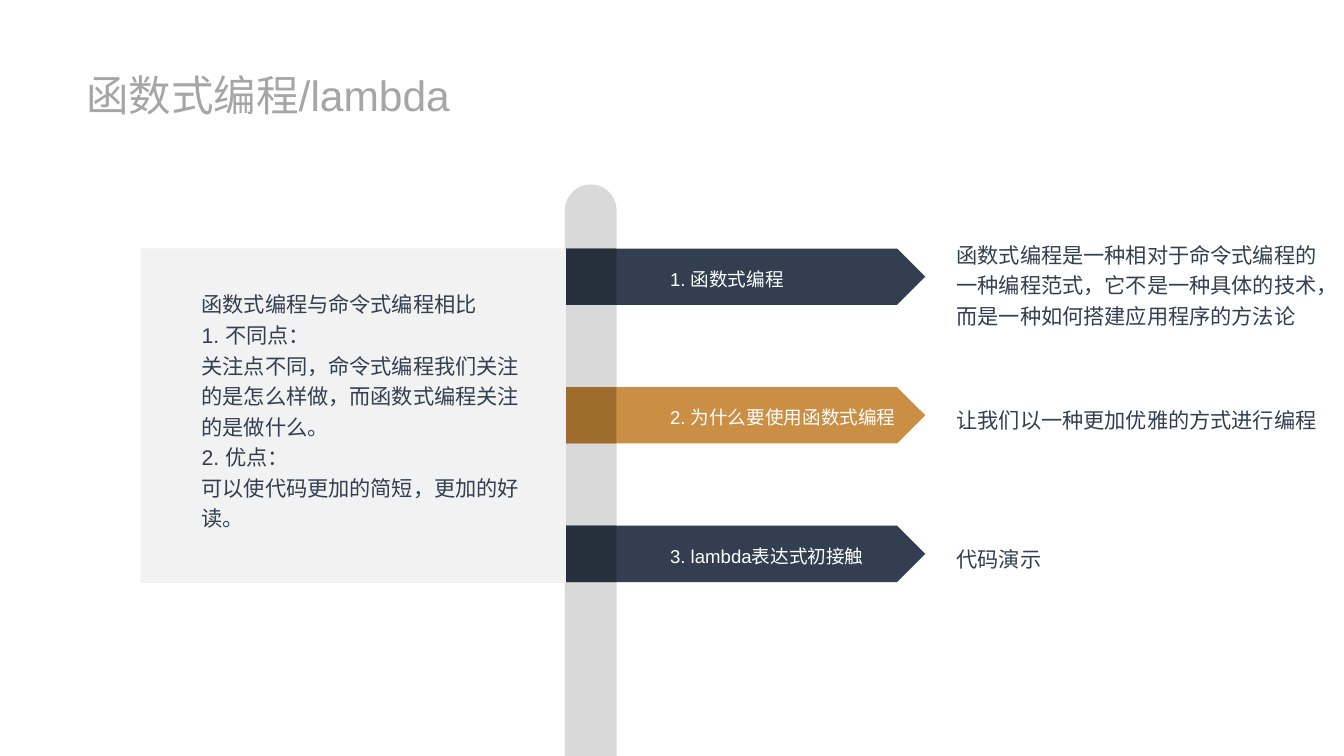
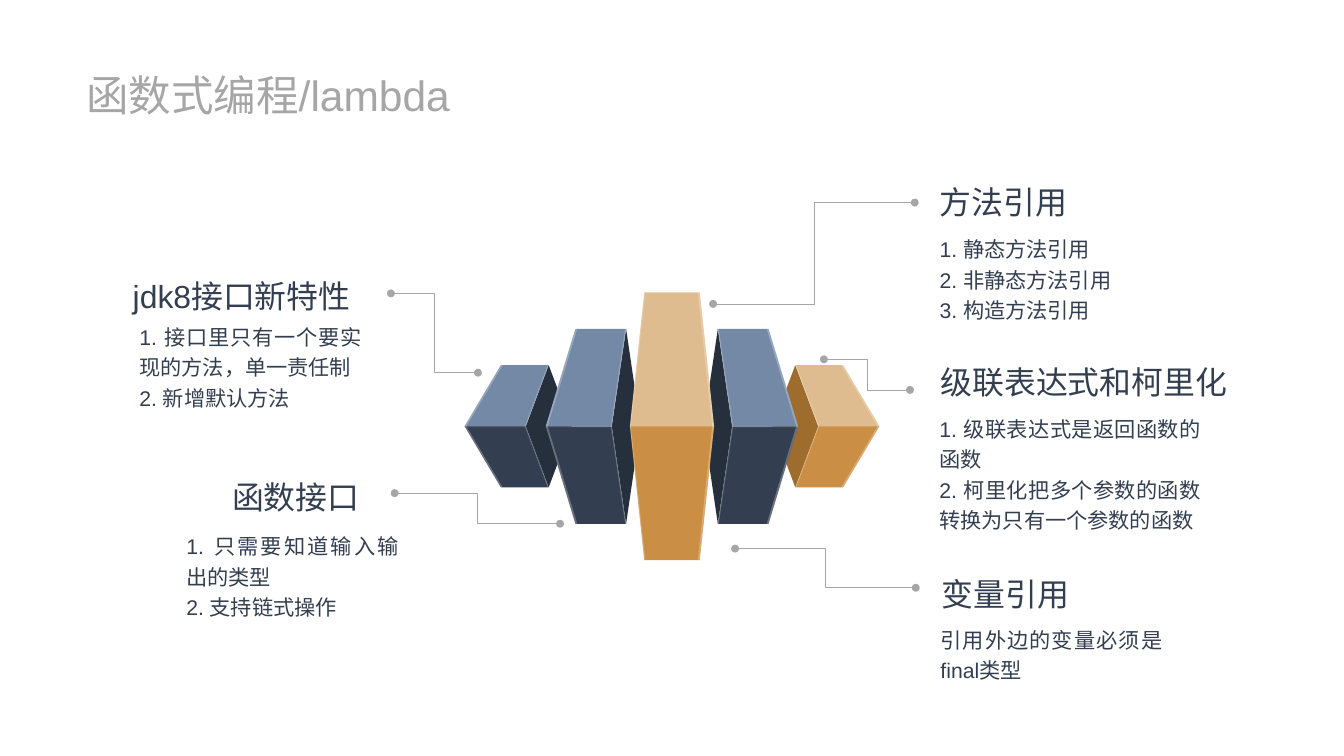
from dataclasses import dataclass

from lxml import etree
from pptx import Presentation
from pptx.dml.color import RGBColor
from pptx.enum.shapes import MSO_CONNECTOR, MSO_SHAPE
from pptx.enum.text import MSO_ANCHOR, PP_ALIGN
from pptx.oxml.ns import qn
from pptx.util import Inches, Pt

RECT = MSO_SHAPE.RECTANGLE
ARROW = MSO_SHAPE.PENTAGON
ROUND = MSO_SHAPE.ROUND_2_SAME_RECTANGLE
ELBOW = MSO_CONNECTOR.ELBOW
LEFT, FULL = PP_ALIGN.LEFT, PP_ALIGN.JUSTIFY
TOP, MIDDLE = MSO_ANCHOR.TOP, MSO_ANCHOR.MIDDLE


@dataclass(frozen=True)
class Theme:
    font: str = "Arial"
    navy: str = "333F50"
    night: str = "262F3C"
    steel: str = "7489A6"
    gold: str = "CA8F45"
    brown: str = "9E6C2D"
    sand: str = "DFBC8F"
    grey: str = "A6A6A6"
    stem: str = "D9D9D9"
    panel: str = "F2F2F2"
    white: str = "FFFFFF"
    title: int = 32
    head: int = 24
    body: int = 16
    label: int = 14


T = Theme()
COOL = (T.steel, T.navy, T.night)
WARM = (T.sand, T.gold, T.brown)


def rgb(code):
    return RGBColor.from_string(code)


def paint(shape, color, alpha=None):
    shape.shadow.inherit = False
    shape.fill.solid()
    shape.fill.fore_color.rgb = rgb(color)
    shape.line.fill.background()
    if alpha:
        tint = shape.fill._xPr.find(".//" + qn("a:srgbClr"))
        etree.SubElement(tint, qn("a:alpha")).set("val", str(alpha * 1000))
    return shape


def block(slide, kind, box, color):
    return paint(slide.shapes.add_shape(kind, *map(Inches, box)), color)


def write(shape, text, size=T.body, color=T.navy, align=LEFT, anchor=TOP,
          inset=(0.1, 0.05, 0.1, 0.05), space=1.2):
    frame = shape.text_frame
    frame.word_wrap = True
    frame.vertical_anchor = anchor
    (frame.margin_left, frame.margin_top,
     frame.margin_right, frame.margin_bottom) = map(Inches, inset)
    for i, line in enumerate(text.split("\n")):
        para = frame.add_paragraph() if i else frame.paragraphs[0]
        para.alignment = align
        para.line_spacing = space
        run = para.add_run()
        run.text = line
        run.font.size = Pt(size)
        run.font.name = T.font
        run.font.color.rgb = rgb(color)
        east = etree.SubElement(run.font._element, qn("a:ea"))
        east.set("typeface", T.font)


def note(slide, box, text, **style):
    write(slide.shapes.add_textbox(*map(Inches, box)), text, **style)


def title(slide, text):
    note(slide, (0.9, 0.72, 4.32, 0.54), text, size=T.title, color=T.grey,
         anchor=MIDDLE, inset=(0, 0, 0, 0), space=1.0)


def banner(slide, box, text, color, shade):
    x, y, w, h = box
    write(block(slide, ARROW, box, color), text, size=T.label,
          color=T.white, anchor=MIDDLE, inset=(1.1, 0.05, 0, 0.05))
    block(slide, RECT, (x, y, 0.54, h), shade)


def panel(slide, box, text):
    x, y, w, h = box
    block(slide, RECT, box, T.panel)
    note(slide, (x + 0.54, y + 0.35, w - 0.8, h - 0.54), text)


def outline(slide, points, color, alpha=None):
    spots = [(Inches(x), Inches(y)) for x, y in points]
    pen = slide.shapes.build_freeform(*spots[0], scale=1.0)
    pen.add_line_segments(spots[1:], close=True)
    paint(pen.convert_to_shape(), color, alpha)


def shine(slide, points):
    outline(slide, points, T.white, 25)


def prism(slide, center, side, cut, colors):
    axis, seam = center
    outer, inner, far, near, back, rise = cut
    light, dark, shade = colors

    def spot(gap, lift=0):
        return axis + side * gap, seam + lift

    def edge(mid, end, width):
        shine(slide, [spot(end, -rise), spot(mid), spot(end, rise),
                      spot(end + width, rise), spot(mid + width),
                      spot(end + width, -rise)])

    if back is not None:
        outline(slide, [spot(inner), spot(near, -rise),
                        spot(back), spot(near, rise)], shade)
    for lift, color in ((-rise, light), (rise, dark)):
        outline(slide, [spot(inner), spot(near, lift),
                        spot(far, lift), spot(outer)], color)
    shine(slide, [spot(inner), spot(outer),
                  spot(outer, 0.01), spot(inner, 0.01)])
    edge(outer, far, -0.02)
    edge(inner, near, 0.01)


def fan(slide, center):
    small = (2.17, 1.53, 1.79, 1.29, 1.05, 0.64)
    large = (1.32, 0.63, 1.01, 0.48, 0.33, 1.02)
    front = (0.44, -0.44, 0.29, -0.29, None, 1.4)
    for side, tone in ((-1, COOL), (1, WARM)):
        prism(slide, center, side, small, tone)
        prism(slide, center, side, large, COOL)
    prism(slide, center, 1, front, WARM)


def link(slide, start, end):
    line = slide.shapes.add_connector(ELBOW, *map(Inches, start + end))
    line.line.color.rgb = rgb(T.grey)
    line.line.width = Pt(0.5)
    props = line._element.spPr
    stroke = props.find(qn("a:ln"))
    for tip in ("a:headEnd", "a:tailEnd"):
        etree.SubElement(stroke, qn(tip)).set("type", "oval")
    etree.SubElement(props, qn("a:effectLst"))


def topic(slide, head, body, name, text):
    note(slide, head, name, size=T.head, align=FULL)
    note(slide, body, text, align=FULL)


def signpost(slide):
    title(slide, "函数式编程/lambda")
    x, y, step = 5.91, 2.6, 1.45
    stem = block(slide, ROUND, (x, 1.93, 0.54, 5.98), T.stem)
    stem.adjustments[0] = 0.5
    stem.adjustments[1] = 0
    rows = (
        ("1. 函数式编程", T.navy, T.night, -0.17,
         "函数式编程是一种相对于命令式编程的一种编程范式，它不是一种具体的技术，"
         "而是一种如何搭建应用程序的方法论"),
        ("2. 为什么要使用函数式编程", T.gold, T.brown, 0.11,
         "让我们以一种更加优雅的方式进行编程"),
        ("3. lambda表达式初接触", T.navy, T.night, 0.11, "代码演示"),
    )
    for i, (name, color, shade, drop, text) in enumerate(rows):
        top = y + i * step
        banner(slide, (x, top, 3.77, 0.59), name, color, shade)
        note(slide, (x + 4, top + drop, 4, 0.42), text)
    panel(slide, (1.47, y, 4.45, 3.5),
          "函数式编程与命令式编程相比\n1. 不同点：\n"
          "关注点不同，命令式编程我们关注的是怎么样做，而函数式编程关注的是做什么。\n"
          "2. 优点：\n可以使代码更加的简短，更加的好读。")


def features(slide):
    title(slide, "函数式编程/lambda")
    fan(slide, (7.03, 4.46))
    links = (
        ((5, 3.9), (4.09, 3.07)),
        ((5.86, 5.48), (4.13, 5.16)),
        ((9.57, 2.12), (7.46, 3.18)),
        ((9.52, 4.08), (8.62, 3.76)),
        ((9.58, 6.15), (7.69, 5.74)),
    )
    for start, end in links:
        link(slide, start, end)
    topics = (
        ((1.29, 2.77, 2.59, 0.58), (1.36, 3.29, 2.52, 1.07), "jdk8接口新特性",
         "1. 接口里只有一个要实现的方法，单一责任制\n2. 新增默认方法"),
        ((2.33, 4.87, 1.55, 0.58), (1.85, 5.48, 2.42, 1.07), "函数接口",
         "1. 只需要知道输入输出的类型\n2. 支持链式操作"),
        ((9.73, 1.78, 2.59, 0.58), (9.73, 2.37, 2.52, 1.07), "方法引用",
         "1. 静态方法引用\n2. 非静态方法引用\n3. 构造方法引用"),
        ((9.74, 3.67, 3.25, 0.58), (9.73, 4.25, 2.93, 1.39),
         "级联表达式和柯里化",
         "1. 级联表达式是返回函数的函数\n"
         "2. 柯里化把多个参数的函数转换为只有一个参数的函数"),
        ((9.75, 5.88, 2.59, 0.58), (9.74, 6.46, 2.52, 0.75), "变量引用",
         "引用外边的变量必须是final类型"),
    )
    for item in topics:
        topic(slide, *item)


def main():
    deck = Presentation()
    deck.slide_width = Inches(14.06)
    deck.slide_height = Inches(7.91)
    for build in (signpost, features):
        build(deck.slides.add_slide(deck.slide_layouts[6]))
    deck.save("out.pptx")


if __name__ == "__main__":
    main()
